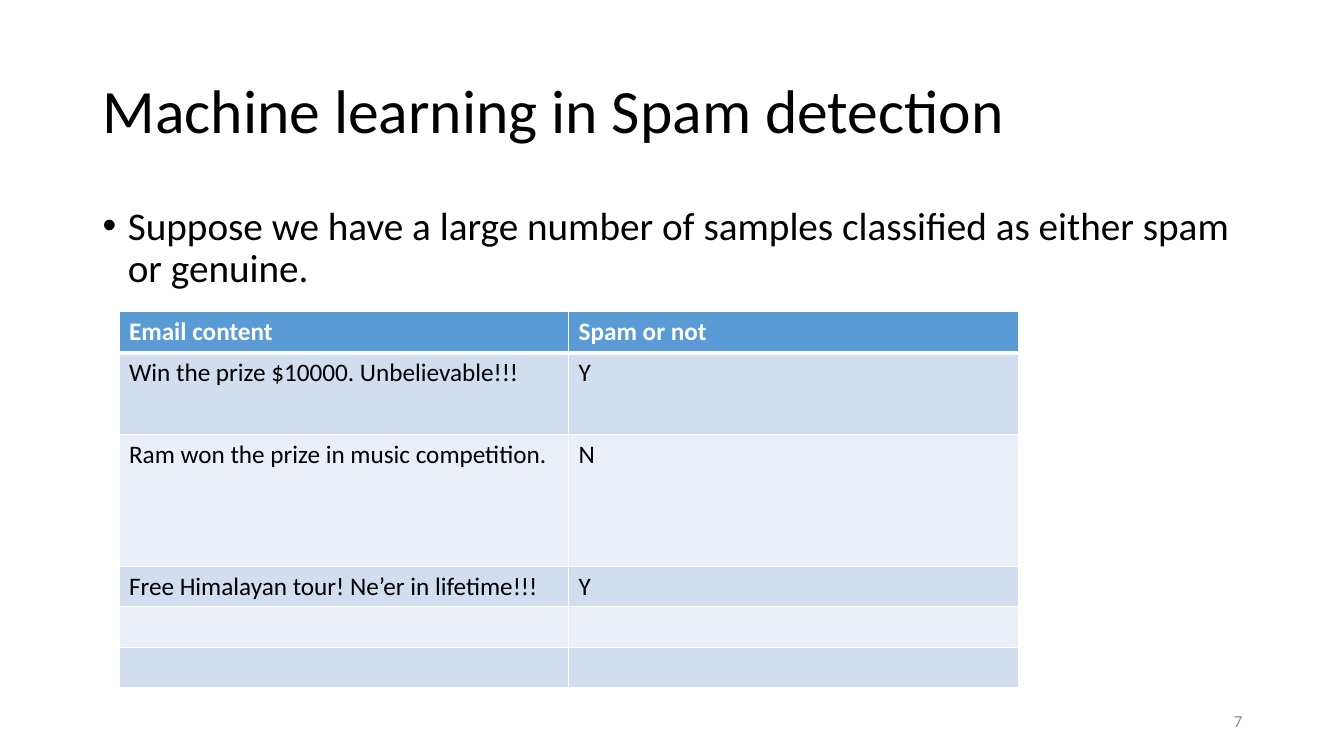
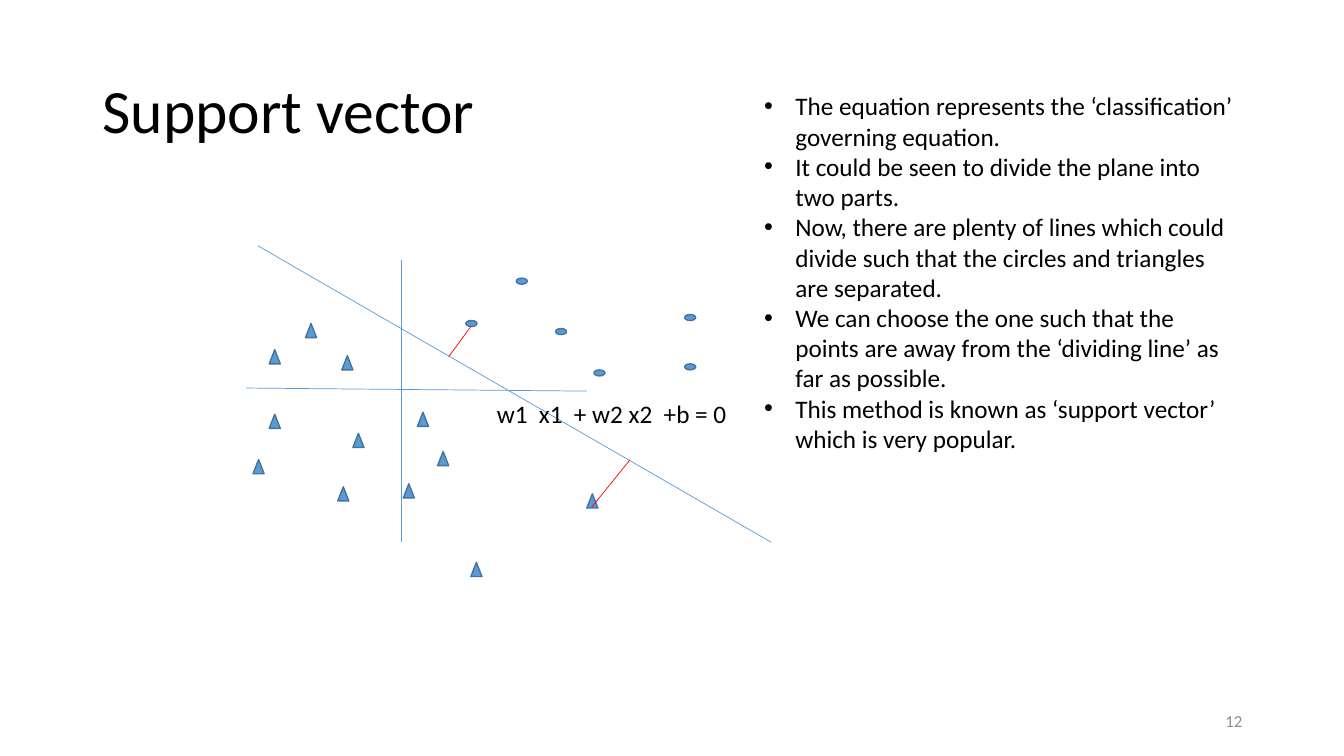
from lxml import etree
from pptx import Presentation
from pptx.dml.color import RGBColor
from pptx.enum.shapes import MSO_CONNECTOR, MSO_SHAPE
from pptx.enum.text import MSO_ANCHOR, PP_ALIGN
from pptx.oxml.ns import qn
from pptx.util import Inches, Pt

STRAIGHT = MSO_CONNECTOR.STRAIGHT
OVAL, TRIANGLE = MSO_SHAPE.OVAL, MSO_SHAPE.ISOSCELES_TRIANGLE
TOP, MIDDLE = MSO_ANCHOR.TOP, MSO_ANCHOR.MIDDLE
LEFT, RIGHT = PP_ALIGN.LEFT, PP_ALIGN.RIGHT

FONT = "Calibri"
BLACK, WHITE, GRAY, RED = "000000", "FFFFFF", "8C8C8C", "FF0000"
BLUE, DARK_BLUE = "5B9BD5", "43739E"
BANDS = ("D2DEEF", "EAEFF7")

TITLE_BOX = (0.92, 0.4, 11.5, 1.45)
NUMBER_BOX = (9.42, 6.95, 3, 0.4)
PREMISE_BOX = (0.92, 2, 11.5, 1.09)
SAMPLES_BOX = (1.18, 3.09, 8.92, 3.73)
PLOT_BOX = (2.44, 2.44, 5.21, 3.28)
REMARKS_BOX = (7.48, 0.85, 4.92, 3.74)

SAMPLES = [
    ("Email content", "Spam or not"),
    ("Win the prize $10000. Unbelievable!!!", "Y"),
    ("Ram won the prize in music competition.", "N"),
    ("Free Himalayan tour! Ne’er in lifetime!!!", "Y"),
    ("", ""),
    ("", ""),
]
SAMPLE_HEIGHTS = (0.41, 0.81, 1.31, 0.4, 0.4, 0.4)

REMARKS = [
    "The equation represents the ‘classification’ governing equation.",
    "It could be seen to divide the plane into two parts.",
    "Now, there are plenty of lines which could divide such that the circles and triangles are separated.",
    "We can choose the one such that the points are away from the ‘dividing line’ as far as possible.",
    "This method is known as ‘support vector’ which is very popular.",
]

AXES = [(1.54, 0.14, 1.54, 2.94), (3.38, 1.44, 0, 1.41)]
DIVIDING_LINE = (0.12, 0, 5.21, 2.94)
MARGINS = [(2.23, 0.8, 2.01, 1.1), (3.43, 2.59, 3.81, 2.12)]
CIRCLES = [(2.18, 0.74), (4.35, 1.17), (2.68, 0.32),
           (3.07, 0.82), (4.35, 0.68), (3.45, 1.23)]
TRIANGLES = [(0.23, 1.03), (0.59, 0.77), (0.95, 1.09), (0.07, 2.12),
             (0.91, 2.39), (1.06, 1.86), (1.7, 1.65), (1.9, 2.04),
             (1.56, 2.36), (3.38, 2.46), (2.23, 3.14), (0.23, 1.67)]
POINT_KINDS = [(OVAL, 0.06, CIRCLES), (TRIANGLE, 0.14, TRIANGLES)]


def rgb(color):
    return RGBColor.from_string(color)


def apply(target, values):
    for name, value in values.items():
        setattr(target, name, value)


def write(paragraph, text, size=18, color=BLACK, bold=False):
    run = paragraph.add_run()
    run.text = text
    apply(run.font, {"name": FONT, "size": Pt(size), "bold": bold})
    run.font.color.rgb = rgb(color)


def add_bullet(paragraph, indent):
    properties = paragraph._p.get_or_add_pPr()
    properties.set("marL", str(Inches(indent)))
    properties.set("indent", str(Inches(-indent)))
    etree.SubElement(properties, qn("a:buFont"), typeface="Arial")
    etree.SubElement(properties, qn("a:buChar"), char="•")


def add_text(slide, box, lines, size=18, color=BLACK, anchor=TOP, wrap=True,
             bullet_indent=None, paragraph_format=None):
    frame = slide.shapes.add_textbox(*map(Inches, box)).text_frame
    apply(frame, {"word_wrap": wrap, "vertical_anchor": anchor})
    for index, line in enumerate(lines):
        paragraph = frame.add_paragraph() if index else frame.paragraphs[0]
        apply(paragraph, paragraph_format or {"alignment": LEFT})
        if bullet_indent:
            add_bullet(paragraph, bullet_indent)
        write(paragraph, line, size, color)


def add_line(slide, box, ends, color):
    left, top = box[:2]
    x1, y1, x2, y2 = ends
    line = slide.shapes.add_connector(
        STRAIGHT, *map(Inches, (left + x1, top + y1, left + x2, top + y2)))
    line.line.color.rgb = rgb(color)
    line.line.width = Pt(0.5)
    etree.SubElement(line._element.spPr, qn("a:effectLst"))


def add_point(slide, kind, box):
    point = slide.shapes.add_shape(kind, *map(Inches, box))
    point.shadow.inherit = False
    point.fill.solid()
    point.fill.fore_color.rgb = rgb(BLUE)
    point.line.color.rgb = rgb(DARK_BLUE)
    point.line.width = Pt(1)


def set_borders(cell, widths):
    properties = cell._tc.get_or_add_tcPr()
    for side, width in widths.items():
        border = etree.SubElement(properties, qn(f"a:ln{side}"), w=str(Pt(width)))
        fill = etree.SubElement(border, qn("a:solidFill"))
        etree.SubElement(fill, qn("a:srgbClr"), val=WHITE)


def add_samples(slide, box):
    table = slide.shapes.add_table(
        len(SAMPLES), len(SAMPLES[0]), *map(Inches, box)).table
    for column in table.columns:
        column.width = Inches(box[2] / len(SAMPLES[0]))
    for index, (texts, height) in enumerate(zip(SAMPLES, SAMPLE_HEIGHTS)):
        header = index == 0
        table.rows[index].height = Inches(height)
        borders = {"L": 1, "R": 1, "T": 3 if index == 1 else 1, "B": 3 if header else 1}
        for cell, text in zip(table.rows[index].cells, texts):
            set_borders(cell, borders)
            cell.fill.solid()
            cell.fill.fore_color.rgb = rgb(BLUE if header else BANDS[(index - 1) % 2])
            if text:
                write(cell.text_frame.paragraphs[0], text,
                      color=WHITE if header else BLACK, bold=header)


def add_plot(slide, box):
    left, top = box[:2]
    for ends in AXES + [DIVIDING_LINE]:
        add_line(slide, box, ends, BLUE)
    add_text(slide, (left + 2.39, top + 1.46, 2.63, 0.4),
             ["w1  x1  + w2 x2  +b = 0"], wrap=False)
    for kind, height, places in POINT_KINDS:
        for x, y in places:
            add_point(slide, kind, (left + x, top + y, 0.11, height))
    for ends in MARGINS:
        add_line(slide, box, ends, RED)


def new_slide(deck, title, number):
    slide = deck.slides.add_slide(deck.slide_layouts[6])
    add_text(slide, TITLE_BOX, [title], size=44, anchor=MIDDLE,
             paragraph_format={"line_spacing": 0.9})
    add_text(slide, NUMBER_BOX, [number], size=12, color=GRAY, anchor=MIDDLE,
             paragraph_format={"alignment": RIGHT})
    return slide


def spam_slide(deck):
    slide = new_slide(deck, "Machine learning in Spam detection", "7")
    add_text(slide, PREMISE_BOX,
             ["Suppose we have a large number of samples classified as either spam or genuine."],
             size=28, bullet_indent=0.25,
             paragraph_format={"line_spacing": 0.9, "space_before": Pt(10)})
    add_samples(slide, SAMPLES_BOX)


def support_vector_slide(deck):
    slide = new_slide(deck, "Support vector", "12")
    add_plot(slide, PLOT_BOX)
    add_text(slide, REMARKS_BOX, REMARKS, bullet_indent=0.31)


def main():
    deck = Presentation()
    apply(deck, {"slide_width": Inches(13.33), "slide_height": Inches(7.5)})
    spam_slide(deck)
    support_vector_slide(deck)
    deck.save("out.pptx")


if __name__ == "__main__":
    main()
